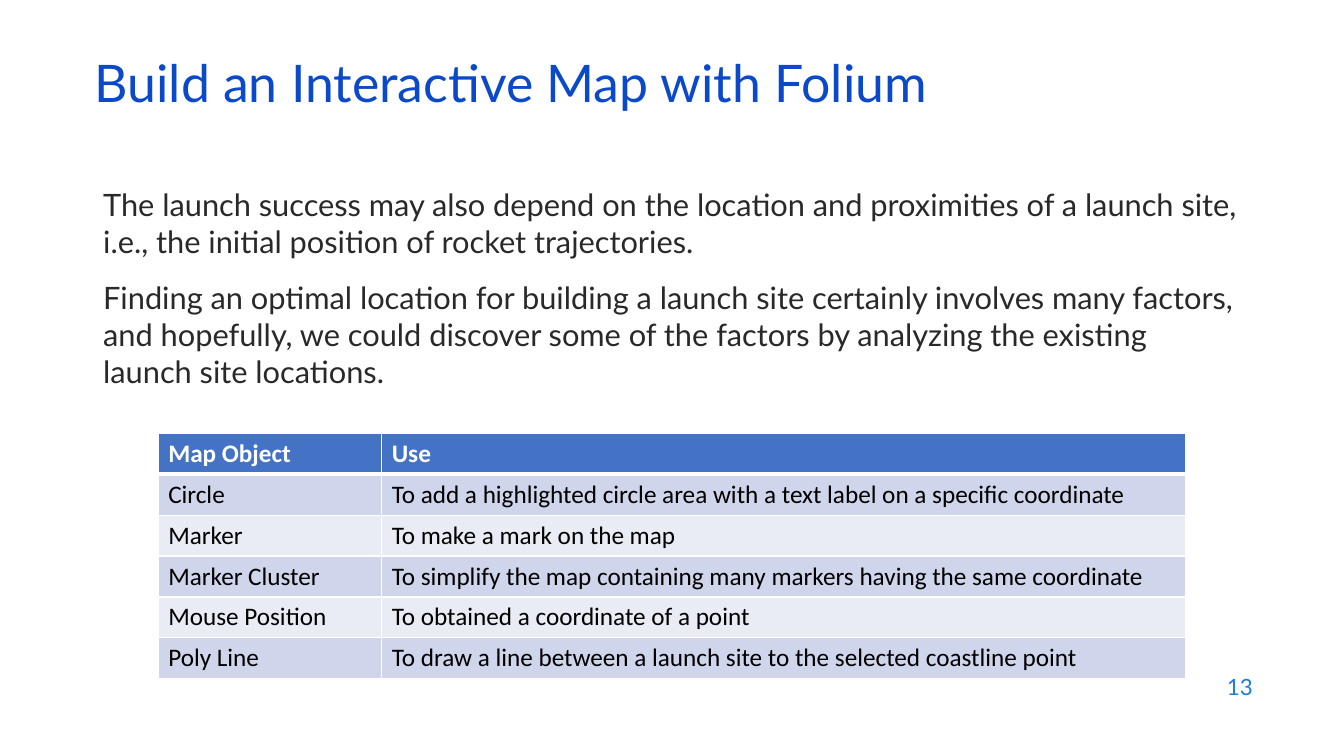
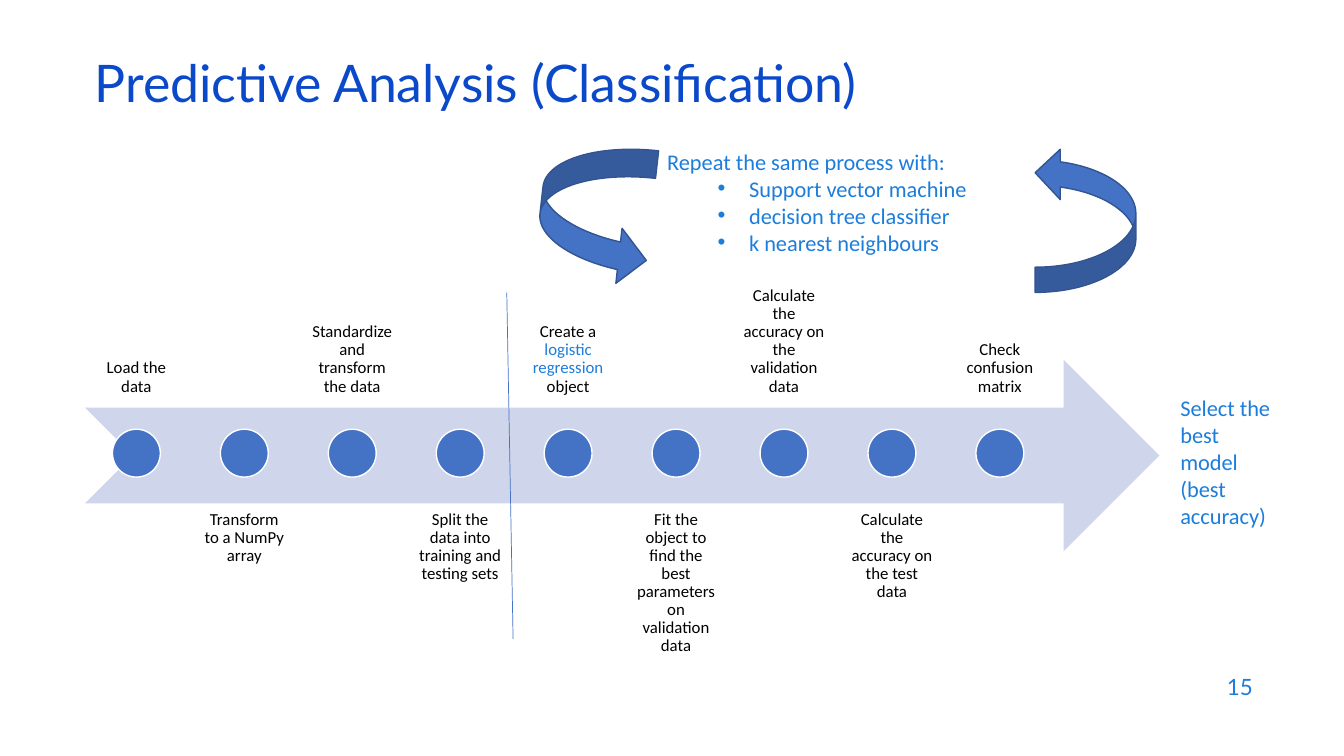
from lxml.etree import SubElement
from pptx import Presentation
from pptx.dml.color import RGBColor
from pptx.enum.shapes import MSO_CONNECTOR, MSO_SHAPE as SHAPE
from pptx.enum.text import MSO_ANCHOR as ANCHOR, MSO_AUTO_SIZE as AUTO, PP_ALIGN as ALIGN
from pptx.oxml.ns import qn
from pptx.util import Pt

TITLE_BLUE = RGBColor(0x0B, 0x49, 0xCB)
TEXT_BLUE = RGBColor(0x1C, 0x7D, 0xDB)
BODY_GREY = RGBColor(0x29, 0x29, 0x29)
ACCENT = RGBColor(0x44, 0x72, 0xC4)
ACCENT_DARK = RGBColor(0x32, 0x54, 0x91)
BAND = RGBColor(0xCF, 0xD5, 0xEA)
BAND_LIGHT = RGBColor(0xE9, 0xEB, 0xF5)
BLACK = RGBColor(0, 0, 0)
WHITE = RGBColor(0xFF, 0xFF, 0xFF)
HEAD_FONT, TEXT_FONT = "Lato", "Calibri"


class Deck:
    """Shared style plus the slide being filled."""

    def __init__(self):
        self.prs = Presentation()
        self.prs.slide_width, self.prs.slide_height = Pt(960), Pt(540)
        self.s = None

    def slide(self, layout, title, number):
        self.s = self.prs.slides.add_slide(self.prs.slide_layouts.get_by_name(layout))
        sp = self.s.shapes.title
        self.place(sp, 60.5, 42.5, 828, 43)
        sp.text_frame.vertical_anchor = ANCHOR.MIDDLE
        sp.text_frame.auto_size = AUTO.NONE
        p = sp.text_frame.paragraphs[0]
        p.alignment, p.line_spacing = ALIGN.LEFT, 0.7
        self.run(p, title, 37, TITLE_BLUE, HEAD_FONT)
        # Page number
        tf = self.box(686, 474.5, 216, 31.5, ANCHOR.MIDDLE)
        p = tf.paragraphs[0]
        p.alignment = ALIGN.RIGHT
        self.run(p, str(number), 16, TEXT_BLUE, HEAD_FONT)

    def place(self, sp, x, y, w, h):
        sp.left, sp.top, sp.width, sp.height = Pt(x), Pt(y), Pt(w), Pt(h)

    def run(self, p, text, size, color, font=TEXT_FONT, bold=False):
        r = p.add_run()
        r.text = text
        r.font.size, r.font.name, r.font.bold = Pt(size), font, bold
        r.font.color.rgb = color

    def paragraph(self, tf, index):
        return tf.add_paragraph() if index else tf.paragraphs[0]

    def body(self, texts, x, y, w, h):
        sp = self.s.placeholders[1]
        self.place(sp, x, y, w, h)
        tf = sp.text_frame
        tf.auto_size = AUTO.NONE
        for i, text in enumerate(texts):
            p = self.paragraph(tf, i)
            pPr = p._p.get_or_add_pPr()
            pPr.set("marL", "0")
            pPr.set("indent", "0")
            SubElement(pPr, qn("a:buNone"))
            p.space_before = Pt(14 if i else 0)
            self.run(p, text, 22, BODY_GREY, HEAD_FONT)

    def box(self, x, y, w, h, anchor=ANCHOR.TOP, inset=None):
        tf = self.s.shapes.add_textbox(Pt(x), Pt(y), Pt(w), Pt(h)).text_frame
        tf.word_wrap, tf.vertical_anchor = True, anchor
        if inset is not None:
            tf.margin_left = tf.margin_right = tf.margin_top = tf.margin_bottom = Pt(inset)
        return tf

    def note(self, x, y, w, h, lines, bullets=()):
        tf = self.box(x, y, w, h)
        for i, text in enumerate([*lines, *bullets]):
            p = self.paragraph(tf, i)
            if i >= len(lines):
                p.level = 1
                pPr = p._p.get_or_add_pPr()
                pPr.set("marL", str(Pt(58.5)))
                pPr.set("indent", str(Pt(-22.5)))
                SubElement(pPr, qn("a:buFont"), typeface="Arial")
                SubElement(pPr, qn("a:buChar"), char="•")
            self.run(p, text, 16, TEXT_BLUE)

    def label(self, x, y, w, h, anchor, runs):
        p = self.box(x, y, w, h, anchor, inset=6.7).paragraphs[0]
        p.alignment, p.line_spacing = ALIGN.CENTER, 0.9
        for text, color in runs:
            self.run(p, text, 12, color)

    def shape(self, kind, x, y, w, h, fill, line=None, rotation=0, flip=False):
        sp = self.s.shapes.add_shape(kind, Pt(x), Pt(y), Pt(w), Pt(h))
        sp.shadow.inherit = False
        sp.fill.solid()
        sp.fill.fore_color.rgb = fill
        if line is None:
            sp.line.fill.background()
        else:
            sp.line.color.rgb, sp.line.width = line, Pt(1)
        sp.rotation = rotation
        if flip:
            sp._element.spPr.get_or_add_xfrm().set("flipV", "1")

    def line(self, x1, y1, x2, y2):
        c = self.s.shapes.add_connector(
            MSO_CONNECTOR.STRAIGHT, Pt(x1), Pt(y1), Pt(x2), Pt(y2))
        c.line.color.rgb, c.line.width = ACCENT, Pt(0.5)
        SubElement(c._element.spPr, qn("a:effectLst"))

    def borders(self, cell, bottom):
        tcPr = cell._tc.get_or_add_tcPr()
        for side, width in (("L", 1), ("R", 1), ("T", 1), ("B", bottom)):
            ln = SubElement(tcPr, qn(f"a:ln{side}"), w=str(Pt(width)))
            fill = SubElement(ln, qn("a:solidFill"))
            SubElement(fill, qn("a:srgbClr"), val=str(WHITE))

    def table(self, x, y, widths, row_height, rows):
        tbl = self.s.shapes.add_table(
            len(rows), len(widths), Pt(x), Pt(y),
            Pt(sum(widths)), Pt(row_height * len(rows))).table
        for col, width in zip(tbl.columns, widths):
            col.width = Pt(width)
        for i, row in enumerate(rows):
            head = i == 0
            for j, text in enumerate(row):
                cell = tbl.cell(i, j)
                self.borders(cell, 3 if head else 1)
                cell.fill.solid()
                cell.fill.fore_color.rgb = ACCENT if head else BAND if i % 2 else BAND_LIGHT
                self.run(cell.text_frame.paragraphs[0], text, 18,
                         WHITE if head else BLACK, bold=head)


def map_slide(deck):
    deck.slide("Title and Content", "Build an Interactive Map with Folium", 13)
    deck.body([
        "The launch success may also depend on the location and proximities of a launch "
        "site, i.e., the initial position of rocket trajectories.",
        "Finding an optimal location for building a launch site certainly involves many "
        "factors, and hopefully, we could discover some of the factors by analyzing the "
        "existing launch site locations.",
    ], 66.5, 129, 828, 361)
    deck.table(113, 309.6, (159.7, 574), 29.2, [
        ("Map Object", "Use"),
        ("Circle", "To add a highlighted circle area with a text label on a specific coordinate"),
        ("Marker", "To make a mark on the map"),
        ("Marker Cluster", "To simplify the map containing many markers having the same coordinate"),
        ("Mouse Position", "To obtained a coordinate of a point"),
        ("Poly Line", "To draw a line between a launch site to the selected coastline point"),
    ])


def process_slide(deck):
    deck.slide("Title Only", "Predictive Analysis (Classification)", 15)

    # Timeline: labels alternate above and below the arrow
    left, pitch, label_w, label_h, dot = 60.7, 77.1, 73.4, 136.8, 34.2
    deck.shape(SHAPE.NOTCHED_RIGHT_ARROW, left, 257, 767.5, label_h, BAND)
    steps = [
        [("Load the data", BLACK)],
        [("Transform to a NumPy array", BLACK)],
        [("Standardize and transform the data", BLACK)],
        [("Split the data into training and testing sets", BLACK)],
        [("Create a ", BLACK), ("logistic regression ", TEXT_BLUE), ("object", BLACK)],
        [("Fit the object to find the best parameters on validation data", BLACK)],
        [("Calculate the accuracy on the validation data", BLACK)],
        [("Calculate the accuracy on the test data", BLACK)],
        [("Check confusion matrix", BLACK)],
    ]
    for i, runs in enumerate(steps):
        x = left + i * pitch
        y, anchor = (358, ANCHOR.TOP) if i % 2 else (152.6, ANCHOR.BOTTOM)
        deck.label(x, y, label_w, label_h, anchor, runs)
        deck.shape(SHAPE.OVAL, x + (label_w - dot) / 2, 306.6, dot, dot, ACCENT, WHITE)

    # Repeat loop
    deck.note(469.5, 102.2, 242.6, 85, ["Repeat the same process with:"],
              ["Support vector machine", "decision tree classifier", "k nearest neighbours"])
    deck.shape(SHAPE.CURVED_LEFT_ARROW, 739.4, 105.4, 72, 103.5,
               ACCENT, ACCENT_DARK, flip=True)
    deck.shape(SHAPE.CURVED_LEFT_ARROW, 386, 103, 79.2, 98.6,
               ACCENT, ACCENT_DARK, rotation=186.4, flip=True)

    # Divider and outcome
    deck.line(362, 209, 366.5, 456.5)
    deck.note(836, 278, 85.7, 104.4, ["Select the best model", "(best accuracy)"])


def main():
    deck = Deck()
    map_slide(deck)
    process_slide(deck)
    deck.prs.save("out.pptx")


if __name__ == "__main__":
    main()
